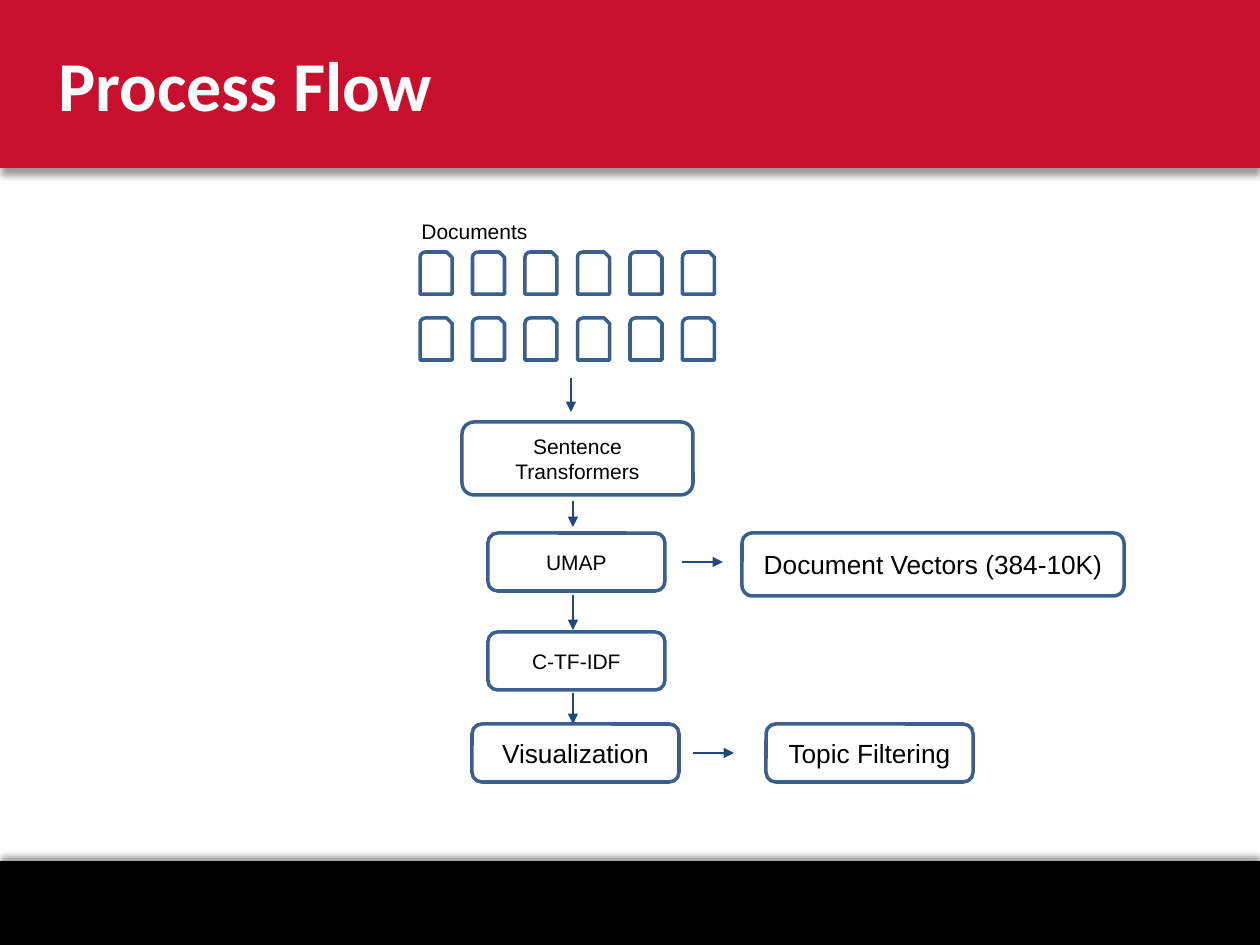
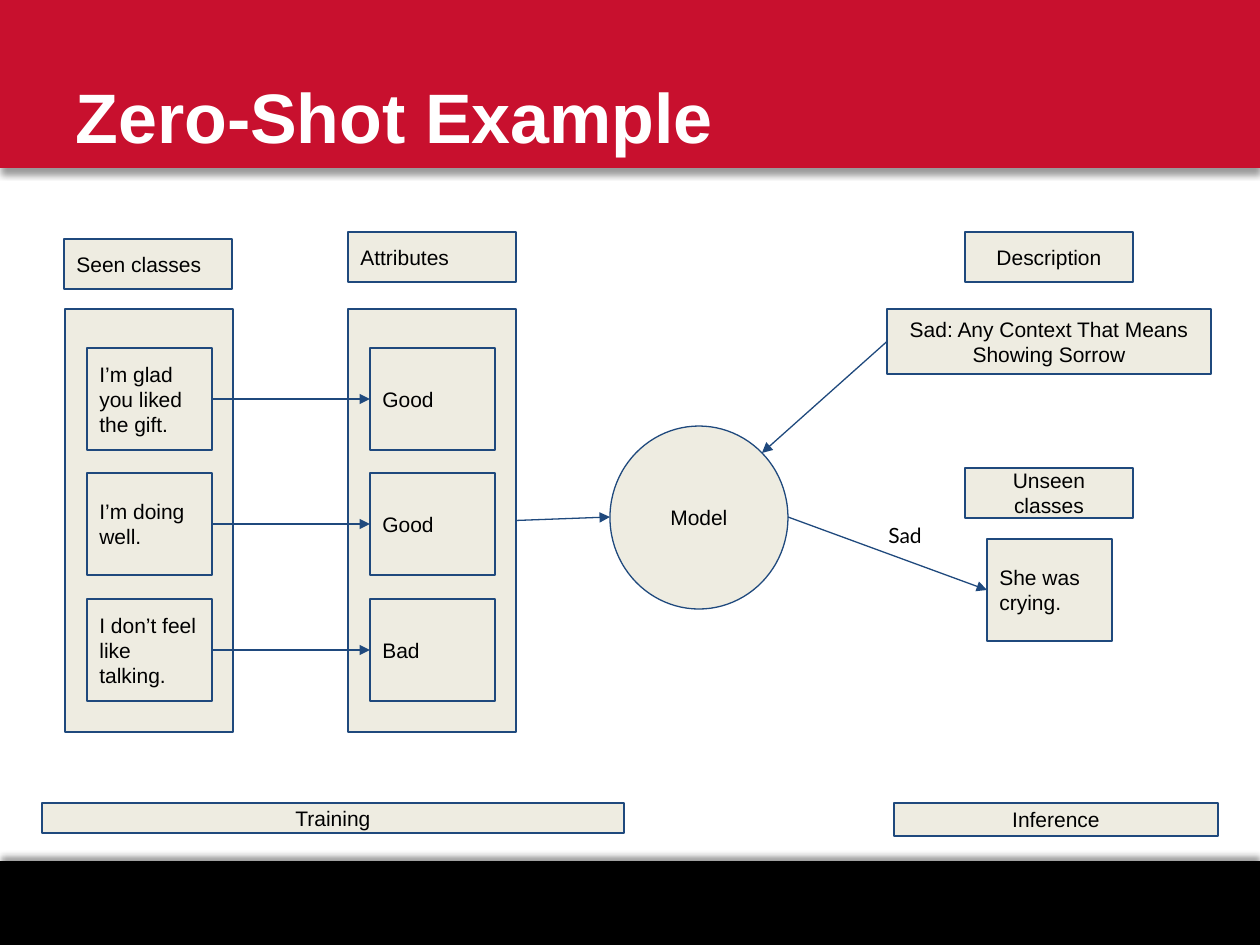
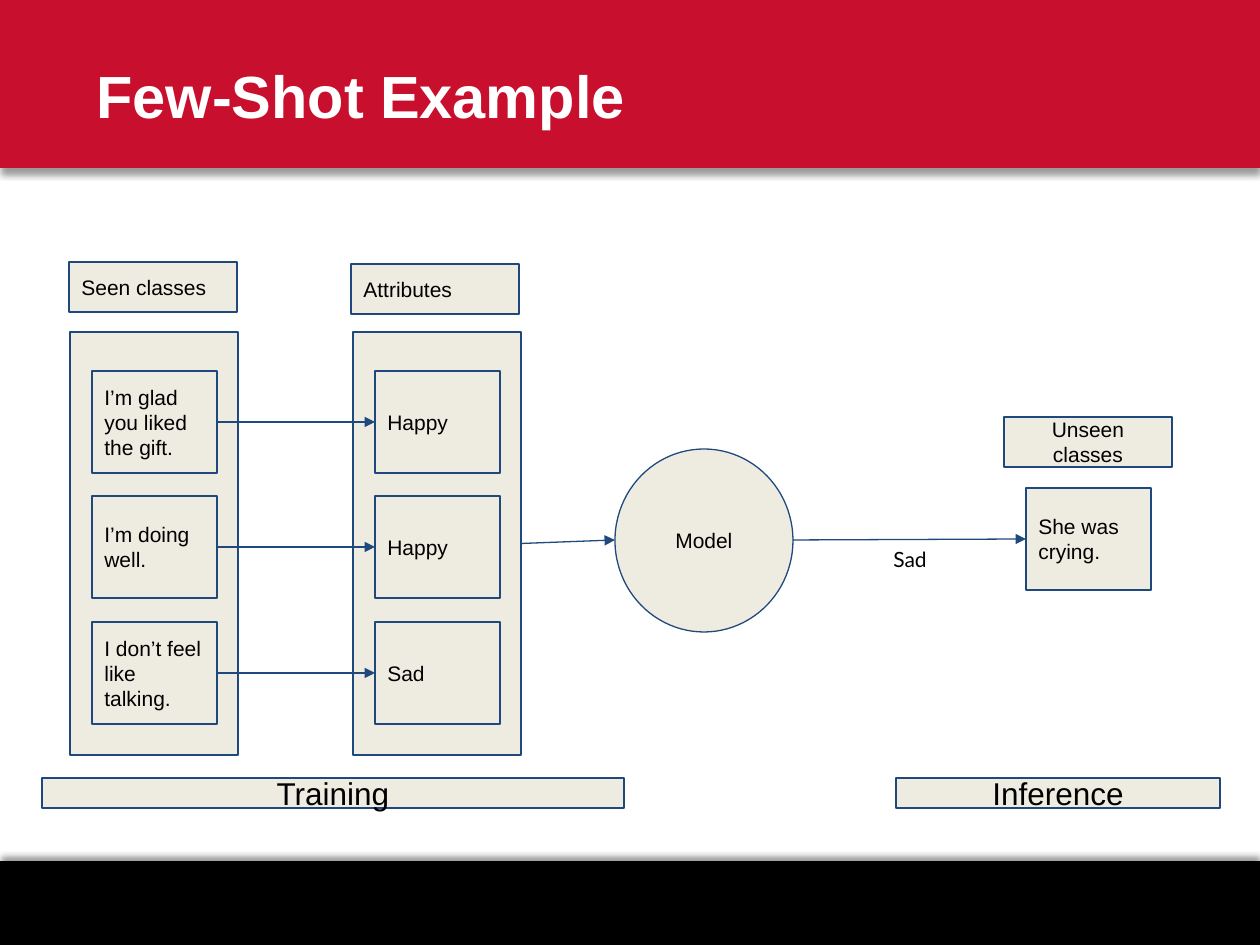
from lxml import etree
from pptx import Presentation, util as u
from pptx.dml.color import RGBColor
from pptx.enum import shapes, text
from pptx.oxml import parse_xml
from pptx.oxml.ns import nsdecls, qn

RED = RGBColor(0xC8, 0x10, 0x2E)
BLACK = RGBColor(0, 0, 0)
WHITE = RGBColor(0xFF, 0xFF, 0xFF)
BLUE = RGBColor(0x3A, 0x5F, 0x8C)
NAVY = RGBColor(0x1F, 0x49, 0x7D)
CREAM = RGBColor(0xEE, 0xEC, 0xE1)

SHAPE = shapes.MSO_SHAPE
LEFT, CENTER = text.PP_ALIGN.LEFT, text.PP_ALIGN.CENTER
RIGHT_SIDE, LEFT_SIDE = 3, 1
PX_PER_INCH = 126
WIDTH, HEIGHT = 1260, 945

SENTENCES = ["I’m glad you liked the gift.", "I’m doing well.", "I don’t feel like talking."]


def px(n):
    return u.Emu(round(n * 914400 / PX_PER_INCH))


def box_px(*lengths):
    return [px(n) for n in lengths]


# Text and shapes
def write(tf, words, size, align, font="Arial", color=BLACK, bold=False):
    tf.word_wrap = True
    tf.text = words
    p = tf.paragraphs[0]
    p.alignment = align
    f = p.runs[0].font
    f.name, f.size, f.bold = font, u.Pt(size), bold
    f.color.rgb = color


def add_outline(s, kind, box, line, width, fill=None):
    sp = s.shapes.add_shape(kind, *box_px(*box))
    sp.shadow.inherit = False
    if fill is None:
        sp.fill.background()
    else:
        sp.fill.solid()
        sp.fill.fore_color.rgb = fill
    sp.line.color.rgb = line
    sp.line.width = u.Pt(width)
    return sp


def set_margins(tf):
    tf.margin_left = tf.margin_right = tf.margin_top = tf.margin_bottom = u.Inches(0.1)


def add_panel(s, box, words="", align=LEFT, size=12, kind=SHAPE.RECTANGLE):
    sp = add_outline(s, kind, box, NAVY, 0.75, CREAM)
    if words:
        tf = sp.text_frame
        set_margins(tf)
        tf.vertical_anchor = text.MSO_ANCHOR.MIDDLE
        write(tf, words, size, align)
    return sp


def add_step(s, box, words, size=12):
    sp = add_outline(s, SHAPE.ROUNDED_RECTANGLE, box, BLUE, 2)
    sp.text_frame.vertical_anchor = text.MSO_ANCHOR.MIDDLE
    write(sp.text_frame, words, size, CENTER)


def add_label(s, box, words, align=LEFT, font="Arial"):
    tf = s.shapes.add_textbox(*box_px(*box)).text_frame
    write(tf, words, 12, align, font)
    tf.auto_size = text.MSO_AUTO_SIZE.SHAPE_TO_FIT_TEXT
    return tf


def add_arrow(s, begin, end):
    """Each end is a point in px or a (rectangle, side) pair to join."""
    points = [e if isinstance(e[0], int) else (0, 0) for e in (begin, end)]
    cx = s.shapes.add_connector(shapes.MSO_CONNECTOR.STRAIGHT, *box_px(*points[0], *points[1]))
    if not isinstance(begin[0], int):
        cx.begin_connect(*begin)
    if not isinstance(end[0], int):
        cx.end_connect(*end)
    cx.line.color.rgb = NAVY
    cx.line.width = u.Pt(0.75)
    ln = cx.line._get_or_add_ln()
    etree.SubElement(ln, qn("a:tailEnd")).set("type", "triangle")
    etree.SubElement(cx.element.spPr, qn("a:effectLst"))


# Shared frame: bands on the layout, title on each slide
def add_band(s, layout, top, height, fill, angle):
    sp = s.shapes.add_shape(SHAPE.RECTANGLE, *box_px(0, top, WIDTH, height))
    sp.fill.solid()
    sp.fill.fore_color.rgb = fill
    sp.line.fill.background()
    sp.element.spPr.append(parse_xml(
        f'<a:effectLst {nsdecls("a")}><a:outerShdw blurRad="{u.Pt(4)}" dist="{u.Pt(3)}" '
        f'dir="{angle * 60000}" rotWithShape="0"><a:srgbClr val="000000">'
        '<a:alpha val="40000"/></a:srgbClr></a:outerShdw></a:effectLst>'))
    layout.shapes.element.insert(2, sp.element)


def style_layout(s, layout):
    for ph in list(layout.placeholders):
        if ph.placeholder_format.type != shapes.PP_PLACEHOLDER.TITLE:
            ph.element.getparent().remove(ph.element)
    add_band(s, layout, 0, 168, RED, 90)
    add_band(s, layout, 861, HEIGHT - 861, BLACK, 270)


def set_title(s, box, words, size=40, font="Arial", indent=0):
    title = s.shapes.title
    title.left, title.top, title.width, title.height = box_px(*box)
    tf = title.text_frame
    tf.vertical_anchor = text.MSO_ANCHOR.MIDDLE
    write(tf, words, size, LEFT, font, WHITE, True)
    tf.paragraphs[0]._p.get_or_add_pPr().set("marL", str(px(indent)))


# Process flow
def build_flow(s):
    set_title(s, (-1, 10, 1103, 147), "Process Flow", font="Calibri", indent=47)
    for y in (252, 318):
        for i in range(6):
            add_outline(s, SHAPE.SNIP_ROUND_RECTANGLE, (420 + 52.5 * i, y, 32, 42), BLUE, 2)
    add_label(s, (388, 212, 173, 38), "Documents", CENTER)

    add_step(s, (462, 422, 231, 73), "Sentence Transformers")
    add_step(s, (488, 533, 177, 58), "UMAP")
    add_step(s, (488, 632, 177, 58), "C-TF-IDF")
    add_step(s, (472, 724, 207, 58), "Visualization", 15)
    add_step(s, (742, 533, 382, 63), "Document Vectors (384-10K)", 15)
    add_step(s, (766, 724, 207, 58), "Topic Filtering", 15)

    for x, top, bottom in ((571, 378, 412), (573, 501, 527), (573, 595, 630), (573, 693, 724)):
        add_arrow(s, (x, top), (x, bottom))
    for x, y in ((682, 562), (693, 753)):
        add_arrow(s, (x, y), (x + 41, y))


# Learning examples
def add_training(s, x, y, attributes):
    """Draw both columns and the model; return the model's left and top."""
    rows = [y + 39 + 251 * i // 2 for i in range(3)]
    columns, cells = [], []
    for left, words in ((x, SENTENCES), (x + 283, attributes)):
        columns.append(add_panel(s, (left, y, 168, 423)))
        cells.append([add_panel(s, (left + 22, top, 125, 102), w) for top, w in zip(rows, words)])
    for sentence, attribute in zip(*cells):
        add_arrow(s, (sentence, RIGHT_SIDE), (attribute, LEFT_SIDE))

    model_x, model_y = x + 545, y + 117
    add_panel(s, (model_x, model_y, 178, 183), "Model", CENTER, kind=SHAPE.OVAL)
    add_arrow(s, (columns[1], RIGHT_SIDE), (model_x, model_y + 91))
    return model_x, model_y


def add_heading(s, x, y, words, align=LEFT):
    add_panel(s, (x, y, 168, 50), words, align)


def add_prediction(s, model, x, y, label_at):
    add_heading(s, x, y, "Unseen classes", CENTER)
    unseen = add_panel(s, (x + 22, y + 71, 125, 102), "She was crying.")
    add_arrow(s, (model[0] + 178, model[1] + 91), (unseen, LEFT_SIDE))
    set_margins(add_label(s, (*label_at, 66, 50), "Sad", font="Lato"))


def add_phases(s, y, inference_x, inference_height, size):
    add_panel(s, (42, y, 582, 30), "Training", CENTER, size)
    add_panel(s, (inference_x, y, 324, inference_height), "Inference", CENTER, size)


def build_zero_shot(s):
    set_title(s, (63, 42, 1040, 147), "Zero-Shot Example")
    add_heading(s, 64, 239, "Seen classes")
    add_heading(s, 348, 232, "Attributes")
    add_heading(s, 965, 232, "Description", CENTER)
    model = add_training(s, 65, 309, ["Good", "Good", "Bad"])
    description = add_panel(s, (887, 309, 324, 65),
                            "Sad: Any Context That Means Showing Sorrow", CENTER)
    add_arrow(s, (description, LEFT_SIDE), (model[0] + 152, model[1] + 27))
    add_prediction(s, model, 965, 468, (876, 510))
    add_phases(s, 803, 894, 33, 12)


def build_few_shot(s):
    set_title(s, (84, 21, 1040, 147), "Few-Shot Example", 34)
    add_heading(s, 69, 262, "Seen classes")
    add_heading(s, 351, 264, "Attributes")
    model = add_training(s, 70, 332, ["Happy", "Happy", "Sad"])
    add_prediction(s, model, 1004, 417, (881, 534))
    add_phases(s, 778, 896, 30, 18)


def main():
    prs = Presentation()
    prs.slide_width, prs.slide_height = px(WIDTH), px(HEIGHT)
    layout = prs.slide_layouts[5]
    for i, build in enumerate((build_flow, build_zero_shot, build_few_shot)):
        s = prs.slides.add_slide(layout)
        if i == 0:
            style_layout(s, layout)
        build(s)
    prs.save("out.pptx")


if __name__ == "__main__":
    main()
